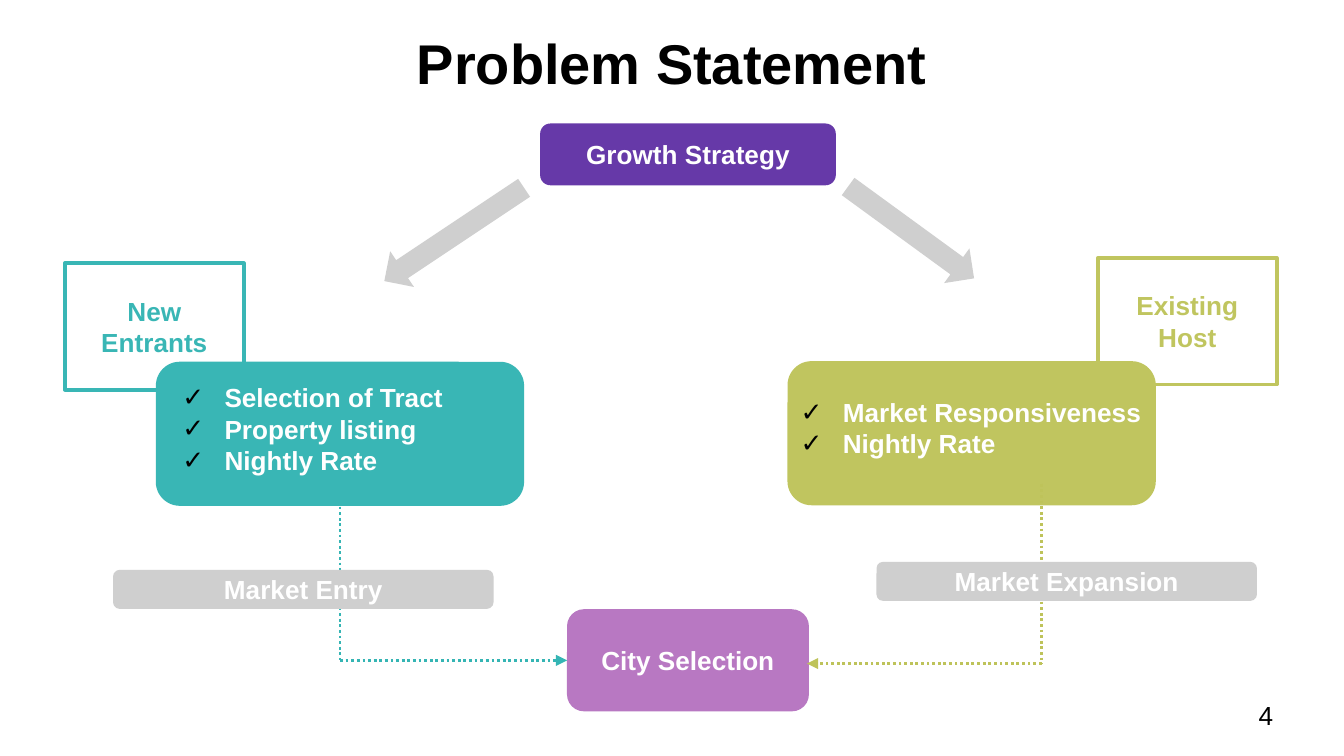
from dataclasses import dataclass

from lxml import etree
from pptx import Presentation
from pptx.dml.color import RGBColor
from pptx.enum import dml, shapes, text
from pptx.oxml import ns
from pptx.util import Pt


@dataclass(frozen=True)
class Theme:
    font: str = "Arial"
    head: int = 30
    body: int = 14
    black: str = "000000"
    white: str = "FFFFFF"
    gray: str = "CFCFCF"
    teal: str = "39B6B5"
    teal_line: str = "35B5B4"
    olive: str = "C0C55F"
    olive_line: str = "BEC35A"
    plum: str = "6639A8"
    lilac: str = "B878C2"


THEME = Theme()
SHAPE = shapes.MSO_SHAPE
ROUND, RECT, ARROW = SHAPE.ROUNDED_RECTANGLE, SHAPE.RECTANGLE, SHAPE.UP_ARROW
CENTER = text.PP_ALIGN.CENTER


def points(box):
    return [Pt(v) for v in box]


def child(parent, tag, **attrs):
    return etree.SubElement(parent, ns.qn(tag), attrs)


def style(para, color, size=THEME.body, bold=True, align=None):
    para.alignment = align
    font = para.font
    font.name, font.size, font.bold = THEME.font, Pt(size), bold
    font.color.rgb = RGBColor.from_string(color)


def add_block(slide, kind, box, fill, label="", ink=THEME.white, edge=None):
    shape = slide.shapes.add_shape(kind, *points(box))
    shape.shadow.inherit = False
    shape.fill.solid()
    shape.fill.fore_color.rgb = RGBColor.from_string(fill)
    if edge:
        shape.line.color.rgb = RGBColor.from_string(edge)
        shape.line.width = Pt(2)
    else:
        shape.line.fill.background()
    if label:
        frame = shape.text_frame
        frame.word_wrap = True
        frame.vertical_anchor = text.MSO_ANCHOR.MIDDLE
        frame.text = label
        style(frame.paragraphs[0], ink, align=CENTER)
    return shape


def add_arrow(slide, box, angle):
    add_block(slide, ARROW, box, THEME.gray).rotation = angle


def add_checks(slide, box, items):
    frame = slide.shapes.add_textbox(*points(box)).text_frame
    frame.word_wrap = True
    for i, item in enumerate(items):
        para = frame.paragraphs[0] if i == 0 else frame.add_paragraph()
        para.text = item
        props = para._p.get_or_add_pPr()
        props.set("marL", str(Pt(22.5)))
        props.set("indent", str(-Pt(22.5)))
        child(child(props, "a:buClr"), "a:srgbClr", val=THEME.black)
        child(props, "a:buFont", typeface=THEME.font)
        child(props, "a:buChar", char="✓")
        style(para, THEME.white)


def add_line(slide, start, end, color, head=False):
    line = slide.shapes.add_connector(
        shapes.MSO_CONNECTOR.STRAIGHT, *points(start + end))
    line.line.color.rgb = RGBColor.from_string(color)
    line.line.width = Pt(1.5)
    line.line.dash_style = dml.MSO_LINE.ROUND_DOT
    if head:
        child(line.line._get_or_add_ln(), "a:tailEnd", type="triangle")
    child(line._element.spPr, "a:effectLst")


def add_title(slide, box, label):
    title = slide.shapes.title
    title.left, title.top, title.width, title.height = points(box)
    frame = title.text_frame
    frame.vertical_anchor = text.MSO_ANCHOR.MIDDLE
    frame.text = label
    style(frame.paragraphs[0], THEME.black, THEME.head, align=CENTER)


def add_branch(slide, card, color, trace, tag, name, checks, items,
               route, bar, label):
    """Tagged card, its check list, and the dotted route under its bar."""
    add_block(slide, RECT, tag, THEME.white, name, color, color)
    add_block(slide, ROUND, card, color)
    add_checks(slide, checks, items)
    start, turn, end = route
    add_line(slide, start, turn, trace)
    add_line(slide, turn, end, trace, head=True)
    add_block(slide, ROUND, bar, THEME.gray, label)


def add_number(slide, box, label):
    frame = slide.shapes.add_textbox(*points(box)).text_frame
    frame.word_wrap = True
    frame.vertical_anchor = text.MSO_ANCHOR.MIDDLE
    frame.text = label
    style(frame.paragraphs[0], THEME.black, bold=False)


def main():
    deck = Presentation()
    deck.slide_width, deck.slide_height = Pt(720), Pt(405)
    slide = deck.slides.add_slide(deck.slide_layouts[5])

    add_title(slide, (24.5, 0, 671, 66.2), "Problem Statement")
    add_block(slide, ROUND, (303.8, 326.4, 129.6, 54.7), THEME.lilac,
              "City Selection")
    add_block(slide, ROUND, (289.4, 66.2, 158.4, 33.1), THEME.plum,
              "Growth Strategy")
    add_arrow(slide, (231.8, 80.6, 23, 90), 236.3)
    add_arrow(slide, (476.6, 82.8, 23, 83.5), 126.1)

    add_branch(
        slide, (83.5, 193.8, 197.3, 77.2), THEME.teal, THEME.teal_line,
        (34.8, 141, 95.8, 67.8), "New Entrants",
        (90.7, 200.9, 182.2, 58.3),
        ("Selection of Tract", "Property listing", "Nightly Rate"),
        ((182.2, 271.4), (182.2, 353.8), (303.8, 353.8)),
        (60.6, 305.3, 203.8, 20.9), "Market Entry")
    add_branch(
        slide, (421.9, 193.5, 197.3, 77.2), THEME.olive, THEME.olive_line,
        (588.2, 138.2, 95.8, 67.8), "Existing Host",
        (421.9, 208.8, 197.3, 40.9),
        ("Market Responsiveness", "Nightly Rate"),
        ((558, 259.2), (558, 355.5), (432.3, 355.5)),
        (469.6, 301, 203.8, 20.9), "Market Expansion")
    add_number(slide, (667.2, 367.4, 43.2, 31), "4")
    deck.save("out.pptx")


if __name__ == "__main__":
    main()
